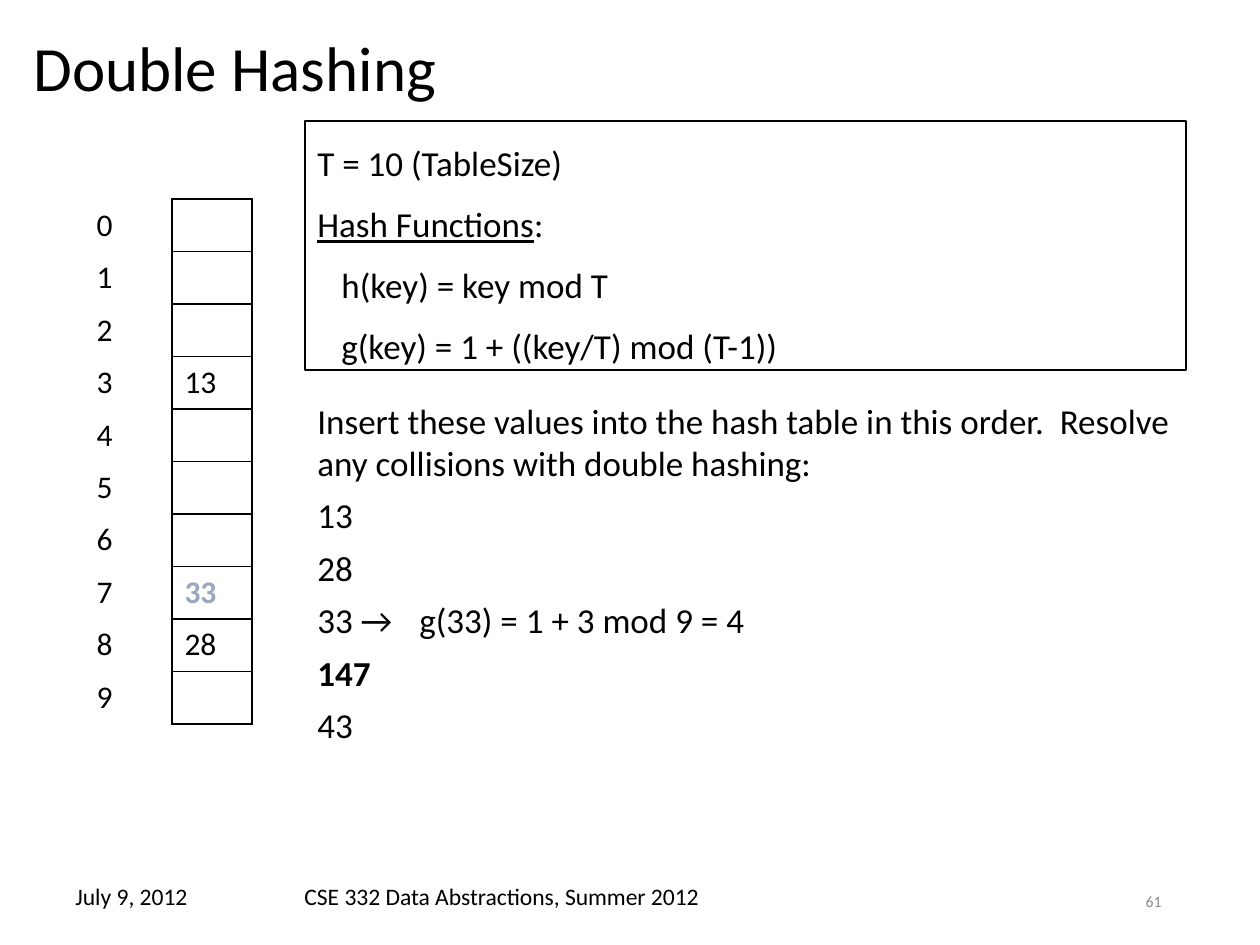
from lxml.etree import SubElement
from pptx import Presentation
from pptx.dml.color import RGBColor
from pptx.enum.shapes import MSO_SHAPE
from pptx.enum.text import MSO_ANCHOR, PP_ALIGN
from pptx.oxml.ns import qn
from pptx.util import Pt

PX = 914400 // 126
FONT = "Calibri"
COLORS = {"ink": "000000", "page": "8C8C8C", "active": "99A8BD"}
NO_GRID_STYLE = "{2D5ABB26-0587-4C30-8999-92F81FD0307C}"

TITLE = "Double Hashing"
DEFINITIONS = [
    "T = 10 (TableSize)",
    [("Hash Functions", {"underline": True}), (":", {})],
    "h(key) = key mod T",
    "g(key) = 1 + ((key/T) mod (T-1))",
]
INSERTIONS = [
    "Insert these values into the hash table in this order.  Resolve "
    "any collisions with double hashing:",
    "13",
    "28",
    "33 →\tg(33) = 1 + 3 mod 9 = 4",
    [("147", {"bold": True})],
    "43",
]
FOOTERS = [
    ("July 9, 2012", (63, 876, 221, 50), {"size": 13.5}),
    ("CSE 332 Data Abstractions, Summer 2012", (292, 876, 674, 50), {"size": 13.5}),
    ("61", (890, 876, 284, 50), {"size": 9, "color": "page",
                                 "align": PP_ALIGN.RIGHT, "anchor": MSO_ANCHOR.MIDDLE}),
]
TABLE_SIZE = 10
SLOTS = {3: "13", 7: "33", 8: "28"}
ACTIVE_SLOT = 7
TABLE_BOX = (84, 199, 168, 525)
COLUMN_WIDTHS = (88, 80)


def emu(box):
    return [v * PX for v in box]


def write(tf, paragraphs, size=20, color="ink", bold=False, align=PP_ALIGN.LEFT,
          anchor=MSO_ANCHOR.TOP, line=None, before=0, indents=None, tabs=()):
    tf.word_wrap = True
    tf.vertical_anchor = anchor
    for i, runs in enumerate(paragraphs):
        p = tf.paragraphs[0] if i == 0 else tf.add_paragraph()
        p.alignment = align
        if line:
            p.line_spacing = line
        if i and before:
            p.space_before = Pt(before)
        pPr = p._p.get_or_add_pPr()
        if indents:
            pPr.set("marL", str(indents[i] * PX))
        if tabs:
            tab_list = SubElement(pPr, qn("a:tabLst"))
            for pos in tabs:
                SubElement(tab_list, qn("a:tab"), pos=str(pos * PX), algn="l")
        for text, style in [(runs, {})] if isinstance(runs, str) else runs:
            r = p.add_run()
            r.text = text
            r.font.name = FONT
            r.font.size = Pt(size)
            r.font.bold = style.get("bold", bold)
            r.font.underline = style.get("underline", False)
            r.font.color.rgb = RGBColor.from_string(COLORS[color])


def add_text(slide, box, paragraphs, **fmt):
    tb = slide.shapes.add_textbox(*emu(box))
    write(tb.text_frame, paragraphs, **fmt)


def set_borders(cell, sides):
    tcPr = cell._tc.get_or_add_tcPr()
    for side in sides:
        ln = SubElement(tcPr, qn("a:ln" + side), w=str(Pt(1)))
        fill = SubElement(ln, qn("a:solidFill"))
        SubElement(fill, qn("a:srgbClr"), val=COLORS["ink"])


def add_definitions(slide):
    sp = slide.shapes.add_shape(MSO_SHAPE.RECTANGLE, *emu((305, 121, 881, 249)))
    sp.shadow.inherit = False
    sp.fill.background()
    sp.line.color.rgb = RGBColor.from_string(COLORS["ink"])
    sp.line.width = Pt(0.75)
    tf = sp.text_frame
    tf.margin_left = tf.margin_right = tf.margin_top = tf.margin_bottom = Pt(7.2)
    write(tf, DEFINITIONS, line=1.2, before=6, indents=(0, 0, 24, 24))


def add_hash_table(slide):
    table = slide.shapes.add_table(TABLE_SIZE, 2, *emu(TABLE_BOX)).table
    table.first_row = table.horz_banding = False
    table._tbl.tblPr.find(qn("a:tableStyleId")).text = NO_GRID_STYLE
    for column, width in zip(table.columns, COLUMN_WIDTHS):
        column.width = width * PX
    for i in range(TABLE_SIZE):
        index, slot = table.cell(i, 0), table.cell(i, 1)
        active = i == ACTIVE_SLOT
        write(index.text_frame, [str(i)], size=18)
        write(slot.text_frame, [SLOTS.get(i, "")], size=18, bold=active,
              color="active" if active else "ink")
        for cell, sides in ((index, "R"), (slot, "LRTB")):
            cell.vertical_anchor = MSO_ANCHOR.MIDDLE
            set_borders(cell, sides)
            cell.fill.background()


def main():
    prs = Presentation()
    prs.slide_width, prs.slide_height = emu((1260, 945))
    slide = prs.slides.add_slide(prs.slide_layouts[6])
    add_text(slide, (21, 24, 1218, 94), [TITLE], size=36, line=0.9,
             anchor=MSO_ANCHOR.MIDDLE)
    add_definitions(slide)
    for text, box, fmt in FOOTERS:
        add_text(slide, box, [text], **fmt)
    add_text(slide, (305, 393, 917, 363), INSERTIONS, before=6, tabs=(54, 102))
    add_hash_table(slide)
    prs.save("out.pptx")


if __name__ == "__main__":
    main()
